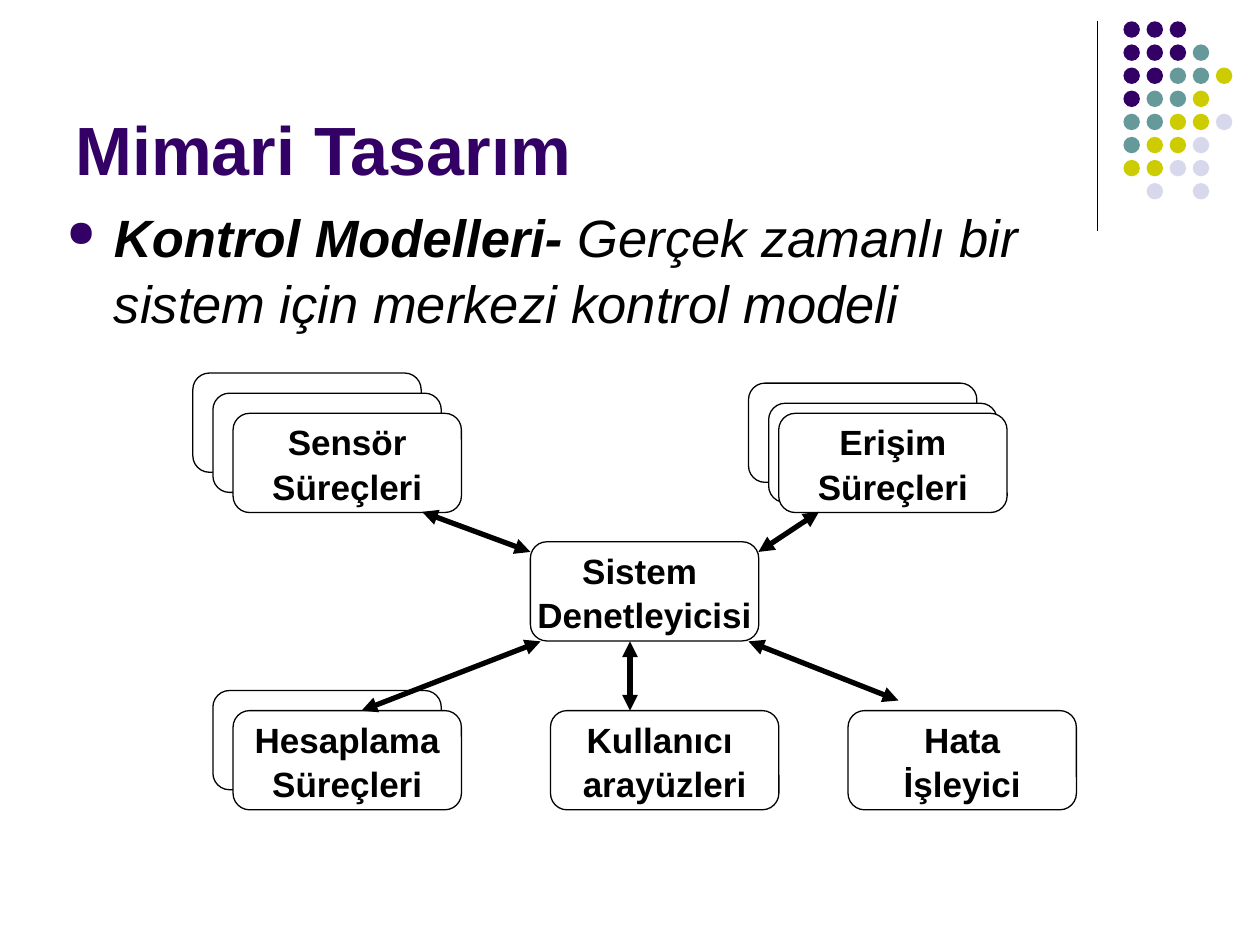
from dataclasses import dataclass

import pptx
import pptx.dml.color
import pptx.enum.shapes
import pptx.enum.text
import pptx.oxml
import pptx.oxml.ns
import pptx.util
from lxml import etree

Pt = pptx.util.Pt
RGBColor = pptx.dml.color.RGBColor
MSO_SHAPE = pptx.enum.shapes.MSO_SHAPE
MSO_ANCHOR = pptx.enum.text.MSO_ANCHOR
qn = pptx.oxml.ns.qn

FONT = "Arial"
BLACK = RGBColor(0x00, 0x00, 0x00)
WHITE = RGBColor(0xFF, 0xFF, 0xFF)
PURPLE = RGBColor(0x33, 0x00, 0x66)
TEAL = RGBColor(0x66, 0x99, 0x99)
OLIVE = RGBColor(0xCC, 0xCC, 0x00)
LAVENDER = RGBColor(0xD8, 0xD8, 0xEC)

BOX_WIDTH, BOX_HEIGHT = 130.5, 56.7
LINE_SPACING = 1.05

# Dot ornament: one letter per dot, a space for a gap
DOT_COLORS = {"P": PURPLE, "T": TEAL, "O": OLIVE, "L": LAVENDER}
DOT_ROWS = ("PPP", "PPPT", "PPTTO", "PTTO", "TTOOL", "TOOL", "OOLL", " L L")
DOT_LEFT, DOT_TOP, DOT_PITCH, DOT_SIZE = 642, 12.2, 13.2, 9.4


@dataclass
class Process:
    lines: tuple[str, str]
    left: float
    top: float
    filled: bool = False
    back_offsets: tuple[float, ...] = ()  # up and left, rearmost first


@dataclass
class Link:
    start_x: float
    start_y: float
    end_x: float
    end_y: float


PROCESSES = (
    Process(("Sistem ", "Denetleyicisi"), 303.1, 309.6),
    Process(("Sensör", "Süreçleri"), 133.2, 236.2, True, (23, 11.5)),
    Process(("Erişim", "Süreçleri"), 445, 236.2, True, (17.25, 5.75)),
    Process(("Hesaplama", "Süreçleri"), 133.2, 406.1, True, (11.5,)),
    Process(("Kullanıcı ", "arayüzleri"), 314.6, 406.1),
    Process(("Hata", "İşleyici"), 484.6, 406.1),
)

LINKS = (
    Link(241.2, 292.5, 303.1, 315.4),
    Link(433.4, 315.4, 468, 292.5),
    Link(427.7, 366.5, 513.4, 400.3),
    Link(360, 366.5, 360, 406.1),
    Link(206.6, 406.1, 308.9, 366.5),
)


def set_font(paragraph, size: float, color: RGBColor) -> None:
    paragraph.font.name = FONT
    paragraph.font.size = Pt(size)
    paragraph.font.color.rgb = color


def add_line(slide, link: Link, width: float, arrows: bool = False) -> None:
    connector = slide.shapes.add_connector(
        pptx.enum.shapes.MSO_CONNECTOR.STRAIGHT,
        Pt(link.start_x), Pt(link.start_y), Pt(link.end_x), Pt(link.end_y),
    )
    connector.line.color.rgb = BLACK
    connector.line.width = Pt(width)
    if arrows:
        line = connector.line._get_or_add_ln()
        for end in ("a:headEnd", "a:tailEnd"):
            etree.SubElement(line, qn(end), type="triangle")
    etree.SubElement(connector._element.spPr, qn("a:effectLst"))


def add_dots(slide) -> None:
    for row, letters in enumerate(DOT_ROWS):
        for column, letter in enumerate(letters):
            if letter == " ":
                continue
            dot = slide.shapes.add_shape(
                MSO_SHAPE.OVAL,
                Pt(DOT_LEFT + column * DOT_PITCH), Pt(DOT_TOP + row * DOT_PITCH),
                Pt(DOT_SIZE), Pt(DOT_SIZE),
            )
            dot.shadow.inherit = False
            dot.fill.solid()
            dot.fill.fore_color.rgb = DOT_COLORS[letter]
            dot.line.fill.background()


def add_box(slide, left: float, top: float, filled: bool):
    box = slide.shapes.add_shape(
        MSO_SHAPE.ROUNDED_RECTANGLE, Pt(left), Pt(top), Pt(BOX_WIDTH), Pt(BOX_HEIGHT)
    )
    box.shadow.inherit = False
    if filled:
        box.fill.solid()
        box.fill.fore_color.rgb = WHITE
    else:
        box.fill.background()
    box.line.color.rgb = BLACK
    box.line.width = Pt(0.75)
    return box


def add_process(slide, process: Process) -> None:
    for offset in process.back_offsets:
        add_box(slide, process.left - offset, process.top - offset, True)
    frame = add_box(slide, process.left, process.top, process.filled).text_frame
    frame.word_wrap = False
    frame.vertical_anchor = MSO_ANCHOR.MIDDLE
    frame.text = "\n".join(process.lines)
    for paragraph in frame.paragraphs:
        paragraph.alignment = pptx.enum.text.PP_ALIGN.CENTER
        paragraph.line_spacing = LINE_SPACING
        set_font(paragraph, 20, BLACK)
        paragraph.font.bold = True


def add_text_frame(slide, left: float, top: float, width: float, height: float):
    frame = slide.shapes.add_textbox(Pt(left), Pt(top), Pt(width), Pt(height)).text_frame
    frame.word_wrap = True
    return frame


def add_title(slide) -> None:
    frame = add_text_frame(slide, 36, 9.4, 594, 102.2)
    frame.vertical_anchor = MSO_ANCHOR.BOTTOM
    paragraph = frame.paragraphs[0]
    paragraph.text = "Mimari Tasarım"
    set_font(paragraph, 39, PURPLE)
    paragraph.font.bold = True


def add_body(slide) -> None:
    paragraph = add_text_frame(slide, 31, 111.6, 648, 83.5).paragraphs[0]
    paragraph.line_spacing = LINE_SPACING
    properties = paragraph._p.get_or_add_pPr()
    properties.set("marL", str(Pt(27)))
    properties.set("indent", str(Pt(-27)))
    bullet_color = etree.SubElement(properties, qn("a:buClr"))
    etree.SubElement(bullet_color, qn("a:srgbClr"), val=str(PURPLE))
    etree.SubElement(properties, qn("a:buSzPct"), val="70000")
    etree.SubElement(properties, qn("a:buChar"), char="●")
    set_font(paragraph, 30, BLACK)
    paragraph.font.italic = True
    heading = paragraph.add_run()
    heading.text = "Kontrol Modelleri- "
    heading.font.bold = True
    paragraph.add_run().text = "Gerçek zamanlı bir sistem için merkezi kontrol modeli"


def main() -> None:
    presentation = pptx.Presentation()
    presentation.slide_width, presentation.slide_height = Pt(720), Pt(540)
    slide = presentation.slides.add_slide(presentation.slide_layouts[6])

    # Corner ornament
    add_line(slide, Link(627, 12, 627, 132), 0.75)
    add_dots(slide)

    # Headings
    add_title(slide)
    add_body(slide)

    # Control model diagram
    for process in PROCESSES:
        add_process(slide, process)
    for link in LINKS:
        add_line(slide, link, 3, arrows=True)

    presentation.save("out.pptx")


if __name__ == "__main__":
    main()
